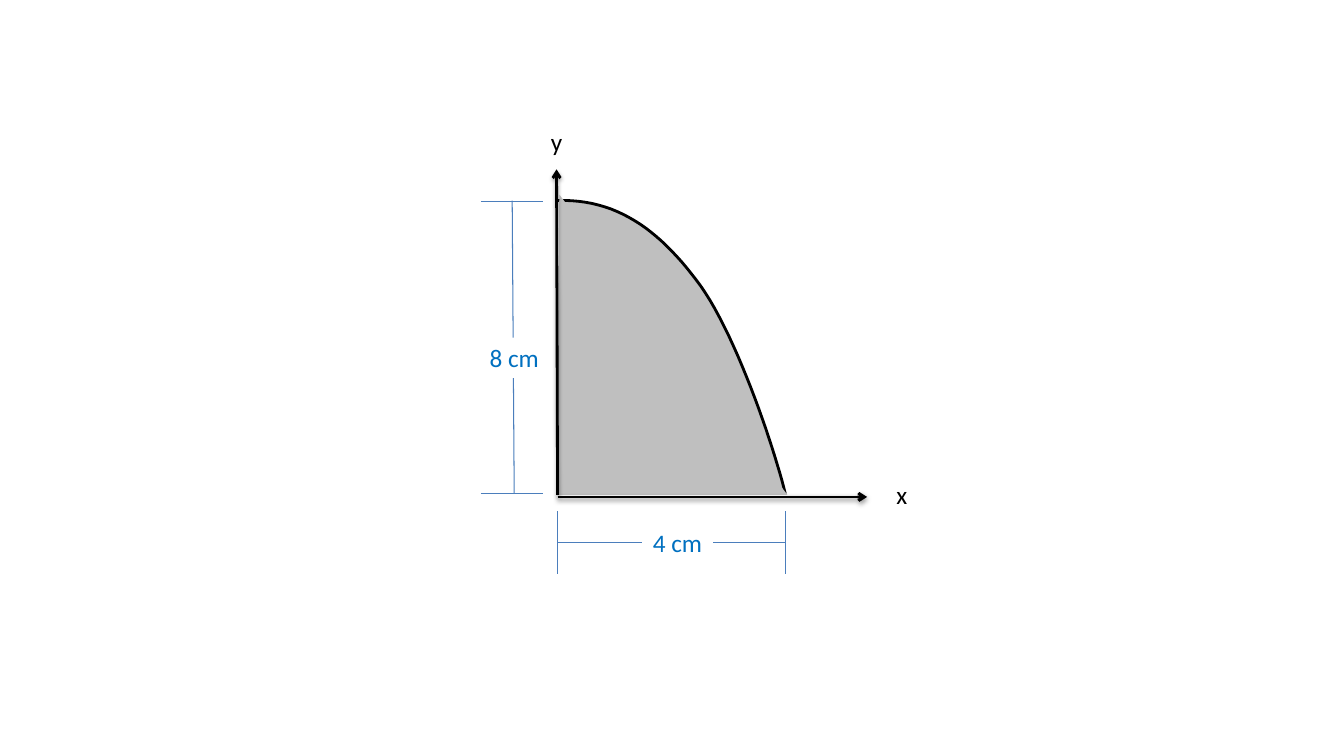
import pptx
import pptx.dml.color
import pptx.enum.shapes
import pptx.enum.text
import pptx.oxml
import pptx.oxml.ns
import pptx.util

PX = 9144  # 100 px to the inch
FINE = 10  # curve units per px
STEPS = 24
BLACK, WHITE, GRAY = "000000", "FFFFFF", "BFBFBF"
RULE, BLUE = "4B7EBC", "0070C0"
SHADOW = (
    '<a:outerShdw blurRad="39370" dist="20320" dir="5400000" rotWithShape="0">'
    '<a:srgbClr val="000000"><a:alpha val="38000"/></a:srgbClr></a:outerShdw>'
)


def px(*sizes):
    return [pptx.util.Emu(size * PX) for size in sizes]


def color(code):
    return pptx.dml.color.RGBColor.from_string(code)


def paint(shape, code):
    shape.fill.solid()
    shape.fill.fore_color.rgb = color(code)


def effect(shape, inner=""):
    """Give the shape only the effects in inner."""
    space = pptx.oxml.ns.nsdecls("a")
    xml = f"<a:effectLst {space}>{inner}</a:effectLst>"
    shape._element.spPr.append(pptx.oxml.parse_xml(xml))


def line(slide, x1, y1, x2, y2, code=RULE, width=0.75):
    kind = pptx.enum.shapes.MSO_CONNECTOR.STRAIGHT
    rule = slide.shapes.add_connector(kind, *px(x1, y1, x2, y2))
    rule.line.color.rgb = color(code)
    rule.line.width = pptx.util.Pt(width)
    return rule


def axis(slide, *ends):
    arrow = line(slide, *ends, BLACK, 2)
    space = pptx.oxml.ns.nsdecls("a")
    tip = pptx.oxml.parse_xml(f'<a:tailEnd {space} type="arrow"/>')
    arrow.line._get_or_add_ln().append(tip)
    effect(arrow, SHADOW)


def label(slide, text, left, top, width, code=BLACK, fill=None):
    box = slide.shapes.add_textbox(*px(left, top, width, 40))
    if fill:
        paint(box, fill)
    frame = box.text_frame
    frame.text = text
    frame.word_wrap = False
    frame.auto_size = pptx.enum.text.MSO_AUTO_SIZE.SHAPE_TO_FIT_TEXT
    para = frame.paragraphs[0]
    para.alignment = pptx.enum.text.PP_ALIGN.CENTER
    font = para.runs[0].font
    font.name = "Calibri"
    font.size = pptx.util.Pt(18)
    font.color.rgb = color(code)


def bend(p0, p1, p2, p3):
    """Yield points along a cubic curve, without its first one."""
    for step in range(1, STEPS + 1):
        t = step / STEPS
        u = 1 - t
        yield tuple(
            FINE * (u**3 * a + 3 * u * u * t * b + 3 * u * t * t * c + t**3 * d)
            for a, b, c, d in zip(p0, p1, p2, p3)
        )


def area(slide, x, y, w, h):
    knots = [(0, 0), (58, -2), (100, 29), (137, 78), (175, 126), (215, 245), (w, h)]
    knots = [(x + a, y + b) for a, b in knots]
    points = [*bend(*knots[:4]), *bend(*knots[3:])]
    path = slide.shapes.build_freeform(FINE * x, FINE * y, scale=PX / FINE)
    path.add_line_segments(points, close=False)
    curve = path.convert_to_shape()
    paint(curve, GRAY)
    curve.line.color.rgb = color(BLACK)
    curve.line.width = pptx.util.Pt(2)
    curve.shadow.inherit = False

    kind = pptx.enum.shapes.MSO_SHAPE.ISOSCELES_TRIANGLE
    wedge = slide.shapes.add_shape(kind, *px(x - 1, y - 6, w + 3, h + 7))
    wedge.adjustments[0] = 0.012
    paint(wedge, GRAY)
    wedge.line.fill.background()
    wedge.shadow.inherit = False


def axes(slide, x, y, w, h):
    base = y + h
    axis(slide, x, base + 1, x - 1, y - 31)
    label(slide, "x", x + w + 100, base - 19, 31)
    label(slide, "y", x - 17, y - 79, 32)
    axis(slide, x, base + 3, x + w + 81, base + 3)


def span(slide, x, y, w, h):
    """Draw the width below the box."""
    base = y + h
    for side in (x + w, x):
        line(slide, side, base + 79, side, base + 17)
    line(slide, x, base + 48, x + w, base + 48)
    label(slide, "4 cm", x + 84, base + 28, 70, BLUE, WHITE)


def rise(slide, x, y, w, h):
    """Draw the height left of the box."""
    for level in (y + h, y + 1):
        line(slide, x - 76, level, x - 14, level)
    line(slide, x - 43, y + h, x - 45, y)
    label(slide, "8 cm", x - 78, y + 136, 70, BLUE, WHITE)


def main():
    deck = pptx.Presentation()
    deck.slide_width, deck.slide_height = px(1333, 750)
    slide = deck.slides.add_slide(deck.slide_layouts[6])
    for part in (area, axes, span, rise):
        part(slide, 553, 199, 226, 291)
    for shape in slide.shapes:
        if isinstance(shape, pptx.shapes.connector.Connector):
            if shape._element.spPr.find(pptx.oxml.ns.qn("a:effectLst")) is None:
                effect(shape)
    deck.save("out.pptx")


if __name__ == "__main__":
    main()
